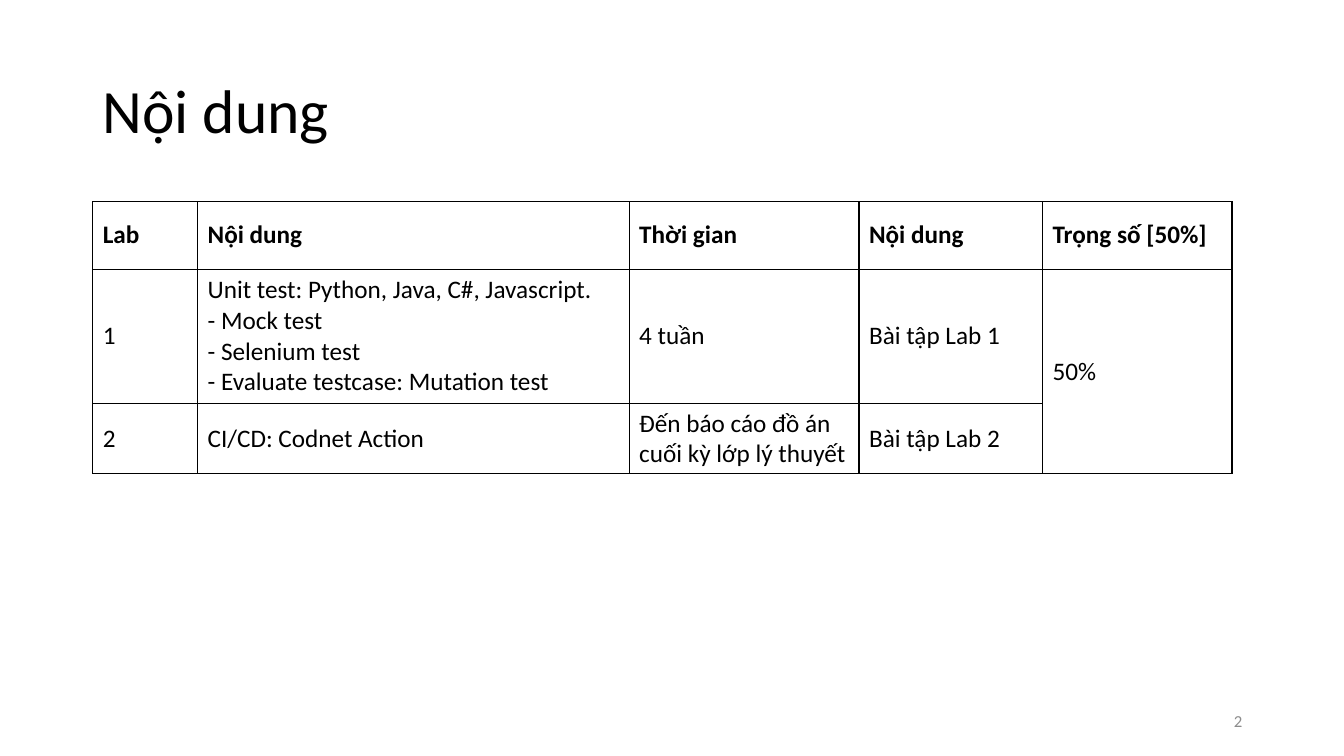
from lxml.etree import SubElement
from pptx import Presentation
from pptx.dml.color import RGBColor
from pptx.enum.text import MSO_ANCHOR as Anchor, PP_ALIGN as Align
from pptx.oxml.ns import qn
from pptx.util import Pt

EMU_PER_PX = 9144  # 100 px to the inch
FONT = "Calibri"
BLACK = RGBColor(0x00, 0x00, 0x00)
GRAY = RGBColor(0x8C, 0x8C, 0x8C)

COLUMN_WIDTHS = [104, 428, 228, 182, 188]
ROW_HEIGHTS = [67, 133, 67]
LAB_ROWS = [
    ["Lab", "Nội dung", "Thời gian", "Nội dung", "Trọng số [50%]"],
    ["1",
     "Unit test: Python, Java, C#, Javascript.\n- Mock test\n"
     "- Selenium test\n- Evaluate testcase: Mutation test",
     "4 tuần", "Bài tập Lab 1", "50%"],
    ["2", "CI/CD: Codnet Action", "Đến báo cáo đồ án cuối kỳ lớp lý thuyết",
     "Bài tập Lab 2", ""],
]


def px(length):
    return length * EMU_PER_PX


def style_paragraph(paragraph, size, color=BLACK, bold=False):
    paragraph.font.name = FONT
    paragraph.font.size = Pt(size)
    paragraph.font.bold = bold
    paragraph.font.color.rgb = color


def add_text(slide, text, box, size, color=BLACK, align=Align.LEFT, spacing=1.0):
    shape = slide.shapes.add_textbox(*map(px, box))
    frame = shape.text_frame
    frame.word_wrap = True
    frame.vertical_anchor = Anchor.MIDDLE
    paragraph = frame.paragraphs[0]
    paragraph.text = text
    paragraph.alignment = align
    paragraph.line_spacing = spacing
    style_paragraph(paragraph, size, color)


def set_borders(cell):
    properties = cell._tc.get_or_add_tcPr()
    for position, side in enumerate(("a:lnL", "a:lnR", "a:lnT", "a:lnB")):
        line = SubElement(properties, qn(side), w=str(Pt(1)))
        fill = SubElement(line, qn("a:solidFill"))
        SubElement(fill, qn("a:srgbClr"), val=str(BLACK))
        properties.insert(position, line)  # borders come before the fill


def fill_cell(cell, text, bold):
    cell.fill.background()
    cell.vertical_anchor = Anchor.MIDDLE
    set_borders(cell)
    cell.text = text
    for paragraph in cell.text_frame.paragraphs:
        style_paragraph(paragraph, 18, bold=bold)


def add_lab_table(slide, left, top):
    box = (left, top, sum(COLUMN_WIDTHS), sum(ROW_HEIGHTS))
    table = slide.shapes.add_table(
        len(ROW_HEIGHTS), len(COLUMN_WIDTHS), *map(px, box)).table
    table.first_row = table.horz_banding = False
    for column, width in zip(table.columns, COLUMN_WIDTHS):
        column.width = px(width)
    for row, height in zip(table.rows, ROW_HEIGHTS):
        row.height = px(height)
    for row_index, texts in enumerate(LAB_ROWS):
        for column_index, text in enumerate(texts):
            fill_cell(table.cell(row_index, column_index), text, row_index == 0)
    # One weight covers both labs
    table.cell(1, 4).merge(table.cell(2, 4))


def main():
    presentation = Presentation()
    presentation.slide_width = px(1333)
    presentation.slide_height = px(750)
    slide = presentation.slides.add_slide(presentation.slide_layouts[6])

    # Title
    add_text(slide, "Nội dung", (92, 40, 1150, 145), 44, spacing=0.9)
    # Lab schedule
    add_lab_table(slide, 92, 200)
    # Page number
    add_text(slide, "2", (942, 695, 300, 40), 12, GRAY, Align.RIGHT)

    presentation.save("out.pptx")


if __name__ == "__main__":
    main()
